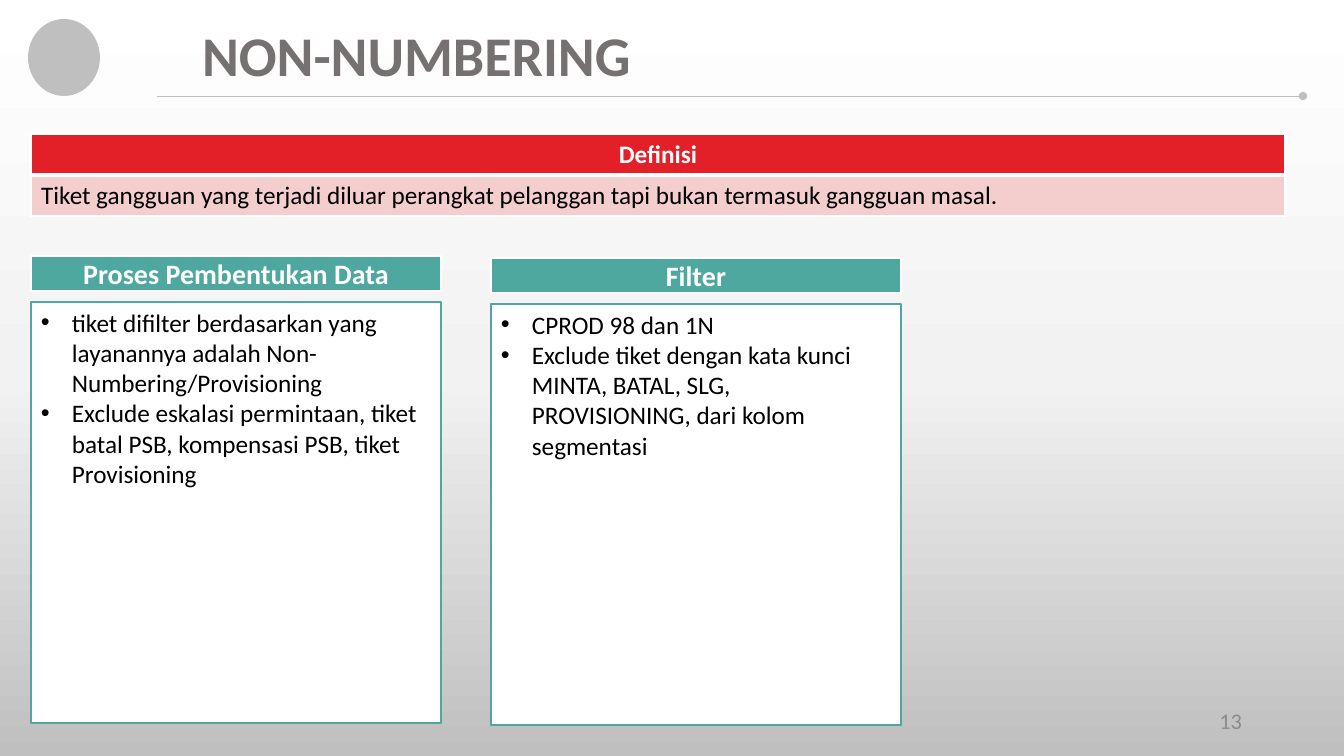
from copy import deepcopy
from pptx import Presentation
from pptx.dml.color import RGBColor
from pptx.enum.shapes import MSO_CONNECTOR as Connector, MSO_SHAPE as Shape
from pptx.enum.text import MSO_ANCHOR as Anchor, MSO_AUTO_SIZE as AutoSize, PP_ALIGN as Align
from pptx.oxml.ns import qn
from pptx.oxml.xmlchemy import OxmlElement
from pptx.util import Emu, Pt

SCALE = 914400 / 100.8
COLORS = {
    "white": "FFFFFF", "black": "000000", "pale": "F2F2F2", "silver": "BFBFBF",
    "title": "767171", "number": "8C8C8C", "red": "E31F27", "pink": "F4CDCD", "teal": "4EA89F",
}


def px(value):
    return Emu(round(value * SCALE))


def color(name):
    return RGBColor.from_string(COLORS[name])


def place(box):
    return [px(value) for value in box]


def add_element(parent, tag, **attributes):
    element = OxmlElement(tag)
    for name, value in attributes.items():
        element.set(name, str(value))
    parent.append(element)
    return element


def write(frame, lines, size, ink, bold=False, align=Align.LEFT, anchor=Anchor.TOP, bullet=False):
    frame.word_wrap = True
    frame.vertical_anchor = anchor
    for index, line in enumerate(lines):
        paragraph = frame.paragraphs[0] if index == 0 else frame.add_paragraph()
        paragraph.text = line
        paragraph.alignment = align
        if bullet:
            properties = paragraph._p.get_or_add_pPr()
            properties.set("marL", str(px(31)))
            properties.set("indent", str(-px(31)))
            add_element(properties, "a:buFont", typeface="Arial")
            add_element(properties, "a:buChar", char="•")
        font = paragraph.runs[0].font
        for name, value in {"name": "Calibri", "size": Pt(size), "bold": bold}.items():
            setattr(font, name, value)
        font.color.rgb = color(ink)


def add_block(slide, kind, box, fill, line=None, width=1):
    shape = slide.shapes.add_shape(kind, *place(box))
    shape.shadow.inherit = False
    shape.fill.solid()
    shape.fill.fore_color.rgb = color(fill)
    if line:
        shape.line.color.rgb = color(line)
        shape.line.width = Pt(width)
    else:
        shape.line.fill.background()
    return shape


def paint_background(slide):
    fill = slide.background.fill
    fill.gradient()
    fill.gradient_angle = 270
    stop_list = slide._element.find(".//" + qn("a:gsLst"))
    stop_list.append(deepcopy(stop_list[0]))
    stops = [("white", 0), ("pale", 0.5), ("silver", 1)]
    for stop, (name, position) in zip(fill.gradient_stops, stops):
        stop.color.rgb = color(name)
        stop.position = position


def add_header(slide, box, text):
    left, top, width, height = box
    rule = slide.shapes.add_connector(
        Connector.STRAIGHT, px(left + 129), px(top + 81), px(left + width), px(top + 81))
    rule.line.color.rgb = color("silver")
    rule.line.width = Pt(0.5)
    add_element(rule.line._get_or_add_ln(), "a:tailEnd", type="oval")
    add_element(rule._element.spPr, "a:effectLst")
    add_block(slide, Shape.OVAL, (left, top + 4, 72, 77), "silver")
    title = slide.shapes.title
    title.left, title.top, title.width, title.height = place((left + 164, top, 933, height))
    write(title.text_frame, [text], 40, "title", bold=True)
    title.text_frame.auto_size = AutoSize.NONE


def add_borders(cell, bottom):
    properties = cell._tc.get_or_add_tcPr()
    for index, side in enumerate("LRTB"):
        width = Pt(bottom if side == "B" else 1)
        border = add_element(properties, "a:ln" + side, w=width)
        add_element(add_element(border, "a:solidFill"), "a:srgbClr", val=COLORS["white"])
        properties.insert(index, border)


def add_definition(slide, box, heading, text):
    table = slide.shapes.add_table(2, 1, *place(box)).table
    rows = [
        (heading, "red", 3, {"ink": "white", "bold": True, "align": Align.CENTER}),
        (text, "pink", 1, {"ink": "black"}),
    ]
    for index, (content, fill, bottom, style) in enumerate(rows):
        cell = table.cell(index, 0)
        write(cell.text_frame, [content], 18, **style)
        cell.fill.solid()
        cell.fill.fore_color.rgb = color(fill)
        add_borders(cell, bottom)


def add_panel(slide, box, heading, items):
    left, top, width, height = box
    body = add_block(slide, Shape.RECTANGLE, (left, top + 46, width, height - 46), "white", "teal")
    write(body.text_frame, items, 18, "black", bullet=True)
    header = add_block(slide, Shape.RECTANGLE, (left, top, width, 35), "teal", "white", 1.5)
    write(header.text_frame, [heading], 20, "white", bold=True, align=Align.CENTER, anchor=Anchor.MIDDLE)


def add_page_number(slide, box, number):
    frame = slide.shapes.add_textbox(*place(box)).text_frame
    write(frame, [number], 16, "number", align=Align.RIGHT, anchor=Anchor.MIDDLE)


def main():
    presentation = Presentation()
    presentation.slide_width, presentation.slide_height = px(1344), px(756)
    slide = presentation.slides.add_slide(presentation.slide_layouts[5])
    paint_background(slide)
    add_header(slide, (28, 15, 1275, 78), "NON-NUMBERING")
    add_definition(
        slide, (31, 134, 1254, 82), "Definisi",
        "Tiket gangguan yang terjadi diluar perangkat pelanggan tapi bukan termasuk gangguan masal.")
    add_panel(slide, (31, 256, 410, 467), "Proses Pembentukan Data", [
        "tiket difilter berdasarkan yang layanannya adalah Non-Numbering/Provisioning",
        "Exclude eskalasi permintaan, tiket batal PSB, kompensasi PSB, tiket Provisioning",
    ])
    add_panel(slide, (491, 258, 410, 467), "Filter", [
        "CPROD 98 dan 1N",
        "Exclude tiket dengan kata kunci MINTA, BATAL, SLG, PROVISIONING, dari kolom segmentasi",
    ])
    add_page_number(slide, (950, 701, 302, 40), "13")
    presentation.save("out.pptx")


if __name__ == "__main__":
    main()
